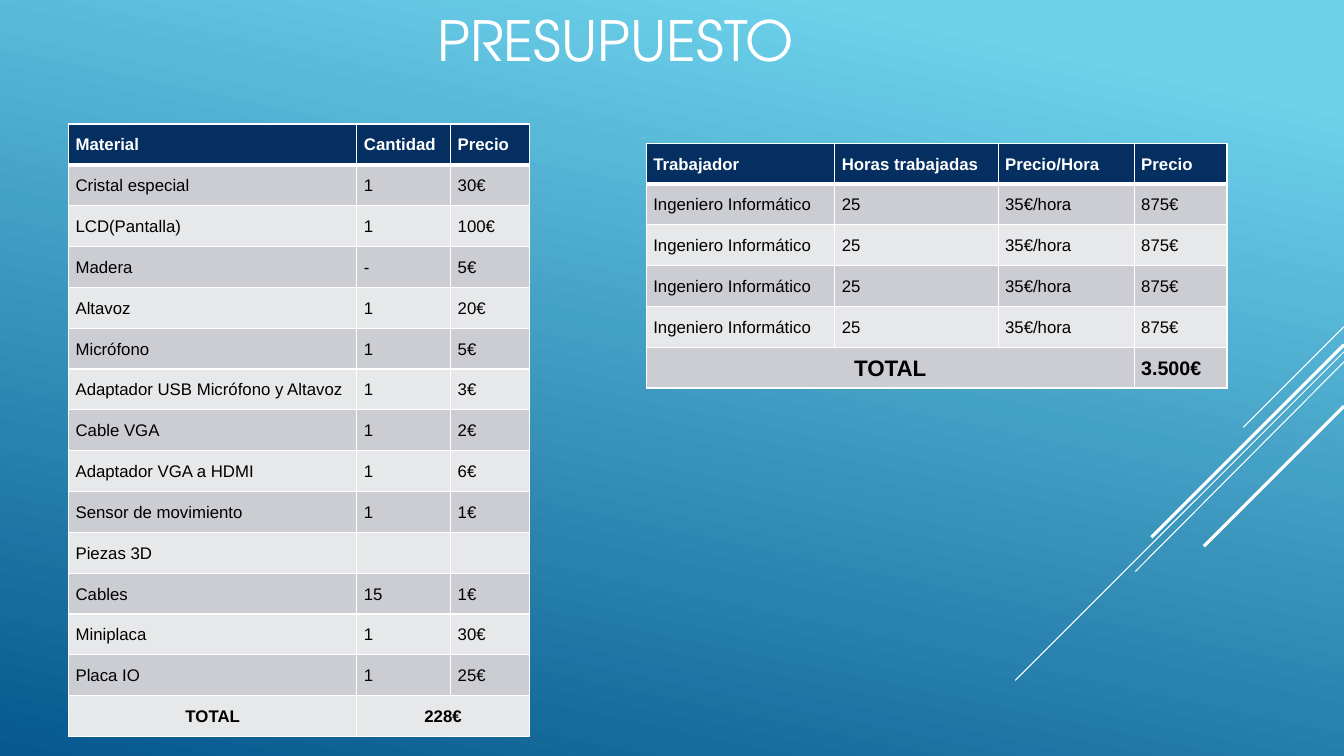
from lxml import etree
from pptx import Presentation
from pptx.dml.color import RGBColor
from pptx.enum.shapes import MSO_CONNECTOR
from pptx.enum.text import MSO_ANCHOR, PP_ALIGN
from pptx.oxml import parse_xml
from pptx.oxml.ns import nsdecls, qn
from pptx.util import Pt

PX = 9144
WHITE, BLACK, NAVY = "FFFFFF", "000000", "052F61"
BANDS = ["E7E8EA", "CCCDD2"]


def rgb(value):
    return RGBColor.from_string(value)


def add_border(cell, index, side, width):
    cell._tc.get_or_add_tcPr().insert(index, parse_xml(
        f'<a:ln{side} {nsdecls("a")} w="{Pt(width)}"><a:solidFill>'
        f'<a:srgbClr val="{WHITE}"/></a:solidFill></a:ln{side}>'))


prs = Presentation()
prs.slide_width, prs.slide_height = 1333 * PX, 750 * PX
s = prs.slides.add_slide(prs.slide_layouts[5])

bg = s.background.fill
bg.gradient()
bg.gradient_angle = 258
for stop, color, position in zip(bg.gradient_stops, ["6ED2EB", "06588E"], [0.1, 1]):
    stop.color.rgb = rgb(color)
    stop.position = position

for y1, x2, y2, width in [
    (324, 1233, 424, 0.75),
    (349, 1007, 675, 0.75),
    (359, 1126, 567, 0.75),
    (342, 1142, 533, 2.25),
    (403, 1194, 542, 2.25),
]:
    line = s.shapes.add_connector(
        MSO_CONNECTOR.STRAIGHT, 1333 * PX, y1 * PX, x2 * PX, y2 * PX)
    line.line.color.rgb = rgb(WHITE)
    line.line.width = Pt(width)
    etree.SubElement(line._element.spPr, qn("a:effectLst"))

title = s.shapes.title
title.left, title.top, title.width, title.height = 144 * PX, 0, 933 * PX, 79 * PX
tf = title.text_frame
tf.text = "PRESUPUESTO"
tf.vertical_anchor = MSO_ANCHOR.MIDDLE
p = tf.paragraphs[0]
p.alignment = PP_ALIGN.CENTER
p.font.name, p.font.size = "TeX Gyre Adventor", Pt(39.6)
p.font.color.rgb = rgb(WHITE)

materials = [
    ["Material", "Cantidad", "Precio"],
    ["Cristal especial", "1", "30€"],
    ["LCD(Pantalla)", "1", "100€"],
    ["Madera", "-", "5€"],
    ["Altavoz", "1", "20€"],
    ["Micrófono", "1", "5€"],
    ["Adaptador USB Micrófono y Altavoz", "1", "3€"],
    ["Cable VGA", "1", "2€"],
    ["Adaptador VGA a HDMI", "1", "6€"],
    ["Sensor de movimiento", "1", "1€"],
    ["Piezas 3D", "", ""],
    ["Cables", "15", "1€"],
    ["Miniplaca", "1", "30€"],
    ["Placa IO", "1", "25€"],
    ["TOTAL", "228€", ""],
]
workers = [
    ["Trabajador", "Horas trabajadas", "Precio/Hora", "Precio"],
    *[["Ingeniero Informático", "25", "35€/hora", "875€"]] * 4,
    ["TOTAL", "", "", "3.500€"],
]

for rows, left, top, height, widths, merge, centered, total_sizes in [
    (materials, 68, 123, 608, [286, 93, 78], (1, 2), [0, 1], [12, 12, 12]),
    (workers, 641, 142, 243, [187, 162, 135, 92], (0, 2), [0], [16, 16, 16, 14]),
]:
    last = len(rows) - 1
    table = s.shapes.add_table(
        len(rows), len(widths), left * PX, top * PX, sum(widths) * PX, height * PX).table
    table.horz_banding = False
    for column, width in zip(table.columns, widths):
        column.width = width * PX
    for i, row in enumerate(rows):
        for j, text in enumerate(row):
            cell = table.cell(i, j)
            cell.text = text
            cell.vertical_anchor = MSO_ANCHOR.MIDDLE
            cell.margin_left = cell.margin_right = 7 * PX
            cell.margin_top = cell.margin_bottom = 0
            cell.fill.solid()
            cell.fill.fore_color.rgb = rgb(BANDS[i % 2] if i else NAVY)
            borders = {"L": 1, "R": 1, "T": 3 if i == 1 else 1, "B": 1 if i else 3}
            for k, (side, width) in enumerate(borders.items()):
                add_border(cell, k, side, width)
            p = cell.text_frame.paragraphs[0]
            p.line_spacing = 1.07
            if i == last and j in centered:
                p.alignment = PP_ALIGN.CENTER
            p.font.name = "Arial"
            p.font.size = Pt(total_sizes[j] if i == last else 12)
            p.font.bold = i in (0, last)
            p.font.color.rgb = rgb(BLACK if i else WHITE)
    table.cell(last, merge[0]).merge(table.cell(last, merge[1]))

prs.save("out.pptx")
